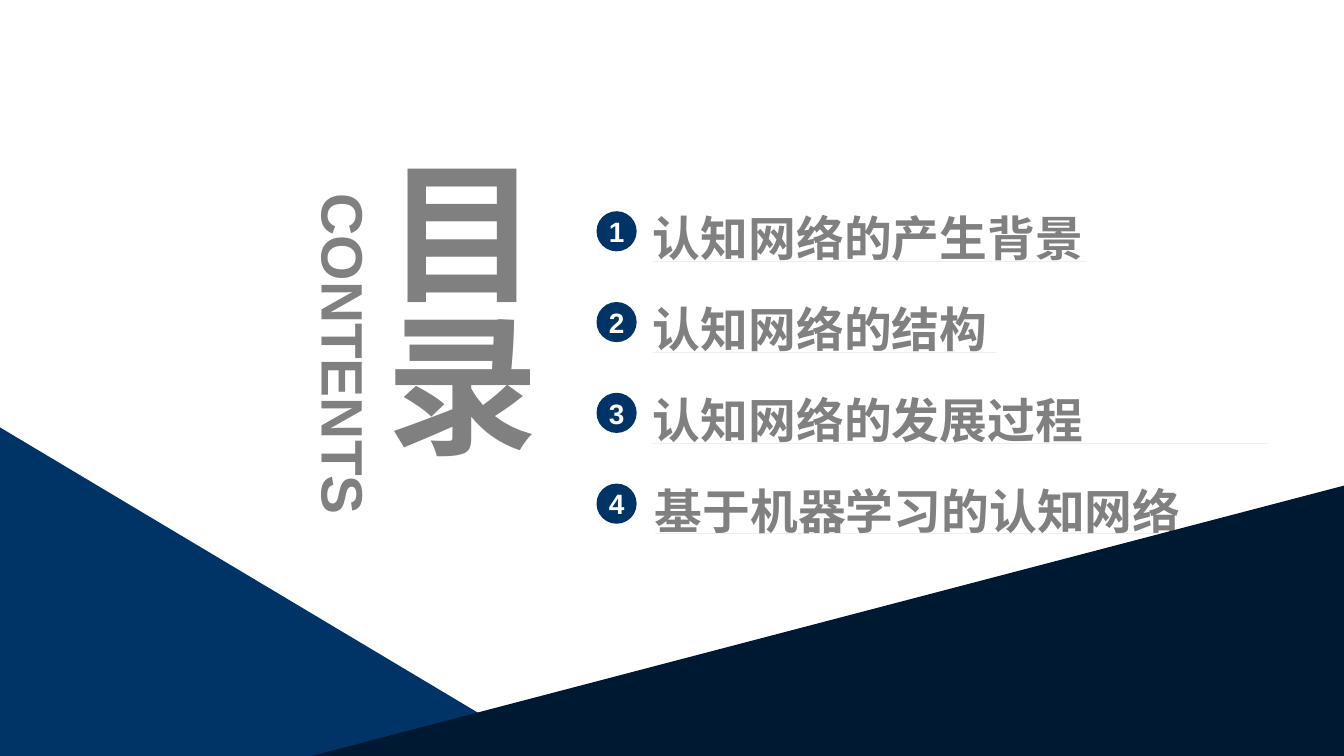
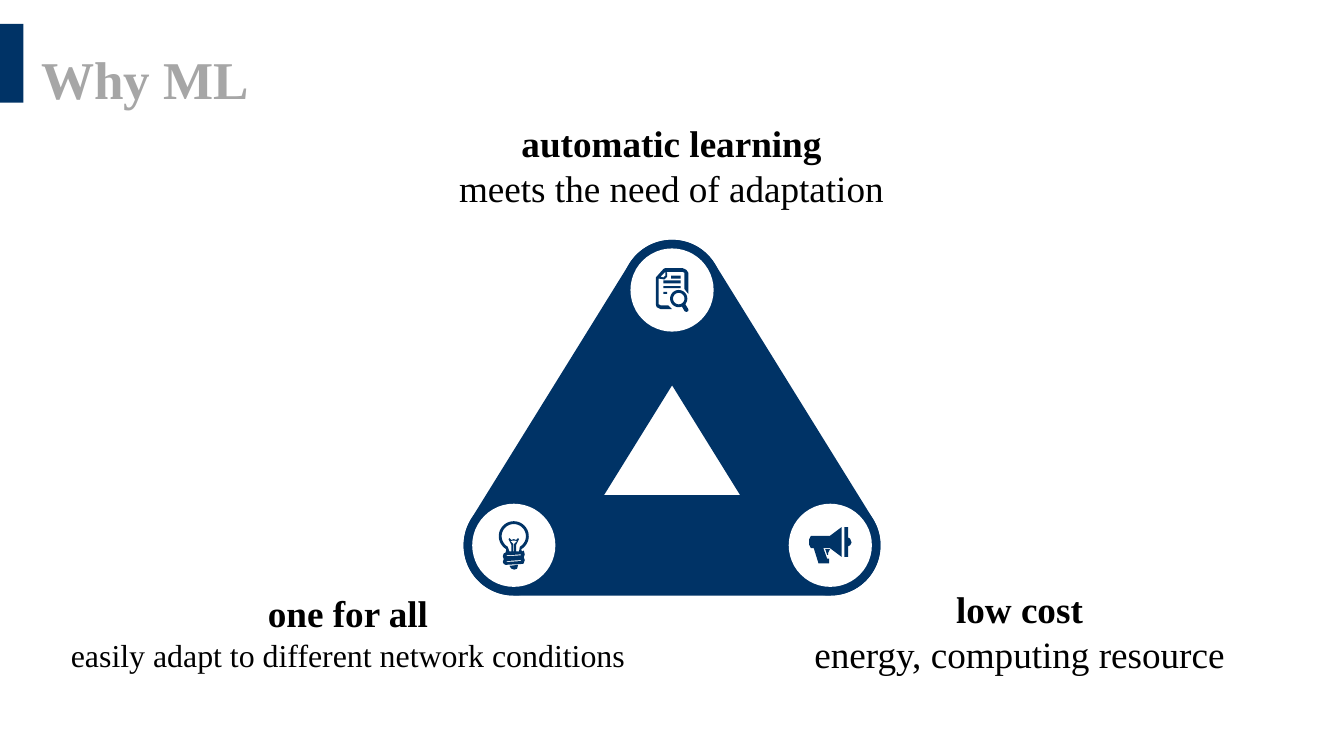
from dataclasses import dataclass
from math import atan2, cos, degrees, hypot, radians, sin

from lxml import etree
from pptx import Presentation
from pptx.dml.color import RGBColor
from pptx.enum.shapes import MSO_SHAPE
from pptx.enum.text import MSO_ANCHOR, MSO_AUTO_SIZE, PP_ALIGN
from pptx.oxml.ns import qn
from pptx.util import Pt

RECTANGLE, ELLIPSE = MSO_SHAPE.RECTANGLE, MSO_SHAPE.OVAL
ROUNDED = MSO_SHAPE.ROUNDED_RECTANGLE
LEFT, CENTER = PP_ALIGN.LEFT, PP_ALIGN.CENTER
TOP, MIDDLE = MSO_ANCHOR.TOP, MSO_ANCHOR.MIDDLE
GROW, FIXED = MSO_AUTO_SIZE.SHAPE_TO_FIT_TEXT, MSO_AUTO_SIZE.NONE

PAGE_WIDTH, PAGE_HEIGHT = 1012.32, 569.52


@dataclass(frozen=True)
class Theme:
    navy: str = "003366"
    midnight: str = "001933"
    gray: str = "808080"
    silver: str = "A6A6A6"
    white: str = "FFFFFF"
    black: str = "000000"
    sans: str = "Arial"
    serif: str = "Times New Roman"
    chinese: str = "Noto Sans CJK SC"
    banner_size: float = 115
    subtitle_size: float = 44
    title_size: float = 40
    entry_size: float = 36
    caption_size: float = 28
    small_size: float = 24
    number_size: float = 21.1


THEME = Theme()


# ---- Shared helpers; a box is (left, top, width, height) in points ----
def style(size, color, name, bold=True):
    return {"size": size, "color": color, "name": name, "bold": bold}


def write(shape, lines, align=CENTER, anchor=TOP, inset=(0, 0), spacing=1, fit=GROW):
    """Fill a shape with (text, style) lines."""
    frame = shape.text_frame
    settings = {
        "margin_left": Pt(inset[0]), "margin_right": Pt(inset[0]),
        "margin_top": Pt(inset[1]), "margin_bottom": Pt(inset[1]),
        "vertical_anchor": anchor, "word_wrap": True, "auto_size": fit,
    }
    for key, value in settings.items():
        setattr(frame, key, value)
    for index, (text, look) in enumerate(lines):
        para = frame.add_paragraph() if index else frame.paragraphs[0]
        para.alignment, para.line_spacing = align, float(spacing)
        span = para.add_run()
        span.text = text
        span.font.color.rgb = RGBColor.from_string(look["color"])
        for key, value in {**look, "size": Pt(look["size"])}.items():
            if key != "color":
                setattr(span.font, key, value)
        east_asian = etree.SubElement(span.font._element, qn("a:ea"))
        east_asian.set("typeface", THEME.chinese)


def paint(shape, color):
    shape.shadow.inherit = False
    shape.fill.solid()
    shape.fill.fore_color.rgb = RGBColor.from_string(color)
    shape.line.fill.background()
    return shape


def add_preset(shapes, kind, box, color):
    return paint(shapes.add_shape(kind, *map(Pt, box)), color)


def add_outline(shapes, origin, loops, color, unit=1):
    """Draw closed loops of points as one shape, relative to an origin."""
    scaled = [[(Pt(x * unit), Pt(y * unit)) for x, y in loop] for loop in loops]
    builder = shapes.build_freeform(*scaled[0][0], scale=1.0)
    for index, loop in enumerate(scaled):
        if index:
            builder.move_to(*loop[0])
        builder.add_line_segments(loop[1:], close=True)
    return paint(builder.convert_to_shape(*map(Pt, origin)), color)


def add_text(page, box, lines, **options):
    shape = page.shapes.add_textbox(*map(Pt, box))
    write(shape, lines, **options)
    return shape


# ---- Contents slide ----
def contents_heading(page, box):
    left, top, width, height = box
    banner = add_text(
        page, (left + 145.4, top, 139.7, height),
        [("目录", style(THEME.banner_size, THEME.gray, THEME.sans))],
        align=LEFT, anchor=MIDDLE, fit=FIXED)
    banner.text_frame._txBody.bodyPr.set("vert", "eaVert")
    length, thickness = 260, 53.3
    subtitle = add_text(
        page, (left, top + (height - thickness) / 2, length, thickness),
        [("CONTENTS", style(THEME.subtitle_size, THEME.gray, THEME.sans))])
    subtitle.rotation = 90


def contents_list(page, box, entries):
    left, top, pitch, height = box
    disc = 30.24
    number_style = style(THEME.number_size, THEME.white, THEME.sans)
    entry_style = style(THEME.entry_size, THEME.gray, THEME.chinese)
    for index, (text, width, indent) in enumerate(entries):
        row = top + index * pitch
        # Numbered disc
        badge = add_preset(page.shapes, ELLIPSE,
                           (left, row + 10.8, disc, disc), THEME.navy)
        write(badge, [(str(index + 1), number_style)], anchor=MIDDLE, fit=FIXED)
        # Entry standing on a hairline
        corner, rule = [(0, 0)] * 3, [(0, height), (width, height), (0, height)]
        entry = add_outline(page.shapes, (left + 42.5 + indent, row),
                            [rule, corner], THEME.gray)
        write(entry, [(text, entry_style)], align=LEFT, anchor=MIDDLE, spacing=1.3)


def corner_wedges(page, box):
    left, top, width, height = box
    wedges = (
        ([(0, 322), (414.6, height), (0, height)], THEME.navy),
        ([(width, 365.8), (width, height), (234.7, height)], THEME.midnight),
    )
    for points, color in wedges:
        add_outline(page.shapes, (left, top), [points], color)


def build_contents(page):
    contents_heading(page, (129.6, 117.4, 285.1, 298.8))
    contents_list(page, (449.3, 148.3, 68.4, 48.6), (
        ("认知网络的产生背景", 326.6, 0),
        ("认知网络的结构", 258.5, 0),
        ("认知网络的发展过程", 462.6, 0),
        ("基于机器学习的认知网络", 414.4, 1.4),
    ))
    corner_wedges(page, (0, 0, PAGE_WIDTH, PAGE_HEIGHT))


# ---- Icons: loops of points on a grid of 0.72 pt ----
ICON_UNIT = 0.72


def arc(center_x, center_y, radius, start=0, stop=360, steps=32):
    angles = [radians(start + (stop - start) * i / steps) for i in range(steps + 1)]
    return [(center_x + radius * cos(a), center_y + radius * sin(a)) for a in angles]


def block(left, top, right, bottom, slant=0):
    return [(left, top + slant), (right, top), (right, bottom), (left, bottom + slant)]


def document_icon():
    sheet = [(10, 0), (28, 0), (32, 2), (34, 5), (34, 27), (30, 22), (30, 5),
             (28, 4), (11, 4), (12, 5), (12, 9), (9, 12), (3, 11), (3, 38),
             (5, 39), (13, 39), (17, 43), (5, 43), (1, 41), (0, 38), (0, 10), (8, 1)]
    fold = [(10, 4), (5, 9), (8, 10), (10, 8)]
    text_lines = [block(8, 25, 12, 27), block(8, 19, 26, 21),
                  block(8, 13, 26, 16), block(16, 8, 26, 11)]
    lens = [arc(24, 32, 9), arc(24, 32, 6)]
    handle = [(27.5, 40.5), (30, 45), (32, 46), (34, 45), (34, 43), (31, 38)]
    return (34, 46), [sheet, fold, *text_lines, *lens, handle]


def bulb_icon():
    glass = arc(15.5, 16, 15.7, 120, 420) + [
        (24, 32), (26, 31), (27, 35), (26, 38), (27, 41), (26, 44), (25, 45),
        (7, 46), (5, 45), (4, 43), (5, 40), (4, 37), (5, 34), (7, 33)]
    hollow = arc(15.5, 16, 12.7, 120, 420) + [
        (21, 32), (18, 32), (18, 25), (21, 19), (20, 18), (18, 20), (15.5, 19),
        (13, 20), (11, 18), (10, 19), (13, 25), (13, 32), (11, 32)]
    filament = [(19, 21), (16, 24), (16, 32), (15, 32), (15, 24), (12, 21), (15.5, 20.5)]
    tip = [(11, 47), (20, 46), (19, 50), (16, 51), (13, 50)]
    threads = [block(8, y, 23, y + 1, slant=1) for y in (35, 41)]
    return (31, 51), [glass, hollow, filament, tip, *threads]


def megaphone_icon():
    horn = [(2, 9), (22, 9), (34, 0), (34, 31), (22, 22), (15, 22), (19, 33),
            (21, 33), (21, 38), (10, 38), (5, 22), (2, 22), (0, 18), (0, 13)]
    rim = [(37, 0), (41, 0), (41, 11), (43, 12), (44.5, 16), (43, 19),
           (41, 20), (41, 31), (37, 31)]
    trigger = [(22, 23), (17, 23), (19, 29), (20, 29), (20, 27)]
    return (44.5, 38), [horn, rim, trigger]


# ---- Reasons slide ----
def title_band(page, text):
    add_preset(page.shapes, RECTANGLE, (0, 18, 17.64, 59.4), THEME.navy)
    add_text(page, (31, 20.9, 945.4, 56.9),
             [(text, style(THEME.title_size, THEME.silver, THEME.serif))],
             align=LEFT, spacing=1.3)


def icon_triangle(page, box):
    """Join three corner discs, whose centres span the box, by round bars."""
    left, top, width, height = box
    thickness, disc = 75.6, 62.64
    corners = [(left + width / 2, top), (left, top + height),
               (left + width, top + height)]
    shapes = page.shapes.add_group_shape().shapes
    # Bars from each corner to the next
    for (x1, y1), (x2, y2) in zip(corners, corners[1:] + corners[:1]):
        length = hypot(x2 - x1, y2 - y1) + thickness
        bar = add_preset(shapes, ROUNDED, (
            (x1 + x2 - length) / 2, (y1 + y2 - thickness) / 2,
            length, thickness), THEME.navy)
        bar.adjustments[0] = 0.5
        bar.rotation = degrees(atan2(y2 - y1, x2 - x1)) % 180
    # Discs, each with a centred icon
    icons = (document_icon(), bulb_icon(), megaphone_icon())
    for (x, y), ((wide, high), loops) in zip(corners, icons):
        add_preset(shapes, ELLIPSE, (x - disc / 2, y - disc / 2, disc, disc),
                   THEME.white)
        origin = (x - wide * ICON_UNIT / 2, y - high * ICON_UNIT / 2)
        add_outline(shapes, origin, loops, THEME.navy, ICON_UNIT)


def caption(page, box, heading, detail, detail_size=THEME.caption_size):
    add_text(page, box, [
        (heading, style(THEME.caption_size, THEME.black, THEME.serif)),
        (detail, style(detail_size, THEME.black, THEME.serif, bold=False)),
    ], inset=(7.2, 3.6))


def build_reasons(page):
    title_band(page, "Why ML")
    icon_triangle(page, (387, 218.5, 238.4, 192.3))
    caption(page, (601.2, 438.5, 333.4, 74.9), "low cost", "energy, computing resource")
    caption(page, (31, 441.4, 462.2, 70.6), "one for all",
            "easily adapt to different network conditions", THEME.small_size)
    caption(page, (330.5, 87.1, 350.6, 74.9), "automatic learning",
            "meets the need of adaptation")


def main():
    deck = Presentation()
    deck.slide_width, deck.slide_height = Pt(PAGE_WIDTH), Pt(PAGE_HEIGHT)
    blank = deck.slide_layouts[6]
    for build in (build_contents, build_reasons):
        build(deck.slides.add_slide(blank))
    deck.save("out.pptx")


if __name__ == "__main__":
    main()
